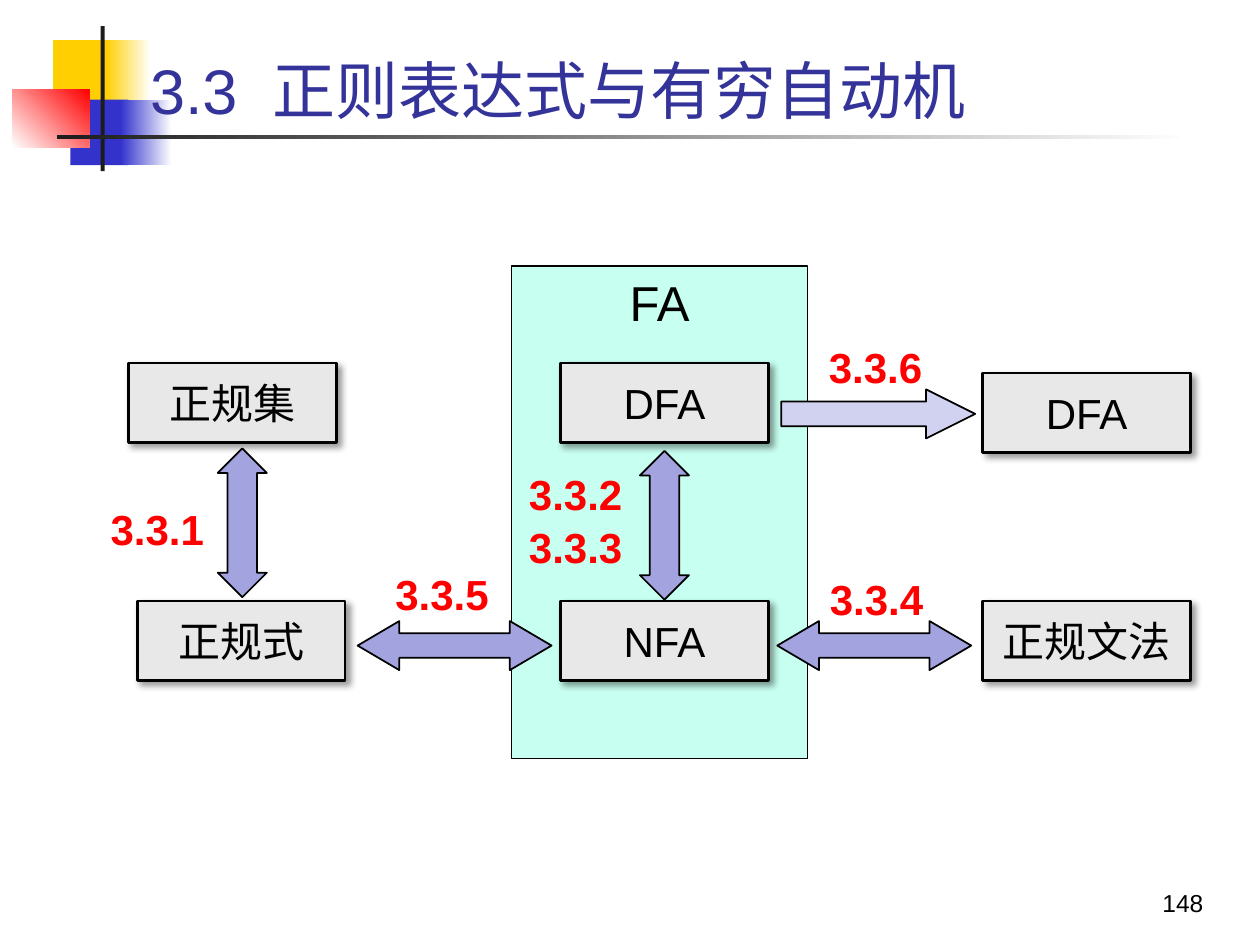
from lxml import etree
from pptx import Presentation
from pptx import util as u
from pptx.dml import color
from pptx.enum import shapes, text
from pptx.oxml import ns

SHAPE = shapes.MSO_SHAPE
ALIGN = text.PP_ALIGN
ANCHOR = text.MSO_ANCHOR
LATIN = "Arial"
CHINESE = "Noto Sans CJK SC"
BLACK = "000000"
PURPLE = "A3A3E0"


def rgb(value):
    return color.RGBColor.from_string(value)


def place(at):
    return [u.Cm(length) for length in at]


def write(frame, content, size=24, font=LATIN, ink=BLACK, bold=False,
          align=ALIGN.CENTER, anchor=ANCHOR.MIDDLE, wrap=False, before=0):
    frame.auto_size = text.MSO_AUTO_SIZE.NONE
    frame.word_wrap = wrap
    frame.vertical_anchor = anchor
    for index, line in enumerate(content.split("\n")):
        para = frame.add_paragraph() if index else frame.paragraphs[0]
        para.alignment = align
        if index:
            para.space_before = u.Pt(before)
        span = para.add_run()
        span.text = line
        span.font.name = font
        span.font.size = u.Pt(size)
        span.font.bold = bold
        span.font.color.rgb = rgb(ink)
        east = etree.SubElement(span.font._element, ns.qn("a:ea"))
        east.set("typeface", CHINESE)


def add_figure(page, kind, at, fill, line=None, adjust=()):
    figure = page.shapes.add_shape(kind, *place(at))
    figure.shadow.inherit = False
    figure.fill.solid()
    figure.fill.fore_color.rgb = rgb(fill)
    if line:
        figure.line.color.rgb = rgb(BLACK)
        figure.line.width = u.Pt(line)
    else:
        figure.line.fill.background()
    for index, value in enumerate(adjust):
        figure.adjustments[index] = value
    return figure


def add_fade(page, at, start, end, angle=0):
    figure = add_figure(page, SHAPE.RECTANGLE, at, start)
    figure.fill.gradient()
    figure.fill.gradient_angle = angle
    for stop, value in zip(figure.fill.gradient_stops, (start, end)):
        stop.color.rgb = rgb(value)


def add_shadow(figure):
    effects = figure._element.spPr.find(ns.qn("a:effectLst"))
    outer = etree.SubElement(effects, ns.qn("a:outerShdw"), blurRad=str(u.Pt(4)),
                             dist=str(u.Pt(3)), dir="2700000", algn="tl", rotWithShape="0")
    tint = etree.SubElement(outer, ns.qn("a:srgbClr"), val=BLACK)
    etree.SubElement(tint, ns.qn("a:alpha"), val="40000")


def add_node(page, left, top, name, font=LATIN):
    box = add_figure(page, SHAPE.RECTANGLE, (left, top, 4.19, 1.6), "E8E8E8", 1.5)
    add_shadow(box)
    write(box.text_frame, name, font=font)


def add_text(page, at, content, **style):
    box = page.shapes.add_textbox(*place(at))
    write(box.text_frame, content, **style)


def add_label(page, left, top, content, width=2.39, height=1.27, **style):
    add_text(page, (left, top, width, height), content, ink="FF0000", bold=True,
             anchor=ANCHOR.TOP, **style)


def add_header(page, content):
    add_figure(page, SHAPE.RECTANGLE, (1.07, 0.81, 1.22, 1.32), "FFCF01")
    add_fade(page, (2.13, 0.81, 0.91, 1.32), "FFCF01", "FFFFFF")
    add_figure(page, SHAPE.RECTANGLE, (1.42, 2.01, 1.17, 1.32), "3333CC")
    add_fade(page, (2.44, 2.01, 1.02, 1.32), "3333CC", "FFFFFF")
    add_fade(page, (0.25, 1.8, 1.55, 1.17), "FFFFFF", "FF0000", 45)
    add_figure(page, SHAPE.RECTANGLE, (2.03, 0.53, 0.08, 2.92), "1C1C1C")
    add_fade(page, (1.14, 2.72, 22.86, 0.08), "1C1C1C", "FFFFFF")
    title = page.shapes.title
    title.left, title.top, title.width, title.height = place((2.77, 0.56, 21.64, 2.13))
    write(title.text_frame, content, size=36, ink="333399", align=ALIGN.LEFT,
          anchor=ANCHOR.BOTTOM, wrap=True)
    title.element.getparent().append(title.element)


def main():
    deck = Presentation()
    deck.slide_width, deck.slide_height = u.Cm(25.4), u.Cm(19.05)
    page = deck.slides.add_slide(deck.slide_layouts[5])
    add_header(page, "3.3  正则表达式与有穷自动机")
    add_text(page, (19.23, 17.35, 5.28, 1.27), "148", size=14, align=ALIGN.RIGHT,
             anchor=ANCHOR.BOTTOM, wrap=True)

    group = add_figure(page, SHAPE.RECTANGLE, (10.31, 5.36, 5.97, 9.93), "C7FFF0", 1)
    write(group.text_frame, "FA", size=28, anchor=ANCHOR.TOP)

    upper, lower = 7.32, 12.12
    middle, right = 11.3, 19.81
    add_node(page, 2.59, upper, "正规集", CHINESE)
    add_node(page, 2.77, lower, "正规式", CHINESE)
    add_node(page, middle, upper, "DFA")
    add_node(page, middle, lower, "NFA")
    add_node(page, right, lower, "正规文法", CHINESE)
    add_node(page, right, 7.52, "DFA")

    for left in (7.21, 15.67):
        add_figure(page, SHAPE.LEFT_RIGHT_ARROW, (left, 12.52, 3.91, 0.99), PURPLE, 1,
                   (0.5, 0.85))
    for left, top in ((4.39, 9.04), (12.9, 9.09)):
        add_figure(page, SHAPE.UP_DOWN_ARROW, (left, top, 0.99, 3), PURPLE, 1, (0.5, 0.6))
    add_figure(page, SHAPE.RIGHT_ARROW, (15.75, 7.85, 3.91, 0.99), "D1D1F0", 1, (0.5, 1))

    add_label(page, 1.98, 10.03, "3.3.1", align=ALIGN.LEFT)
    add_label(page, 10.31, 9.32, "3.3.2\n3.3.3", width=2.59, height=2.31, wrap=True, before=1.5)
    add_label(page, 16.48, 11.43, "3.3.4", align=ALIGN.LEFT)
    add_label(page, 7.72, 11.33, "3.3.5", align=ALIGN.LEFT)
    add_label(page, 16.46, 6.76, "3.3.6", align=ALIGN.LEFT)
    deck.save("out.pptx")


if __name__ == "__main__":
    main()
